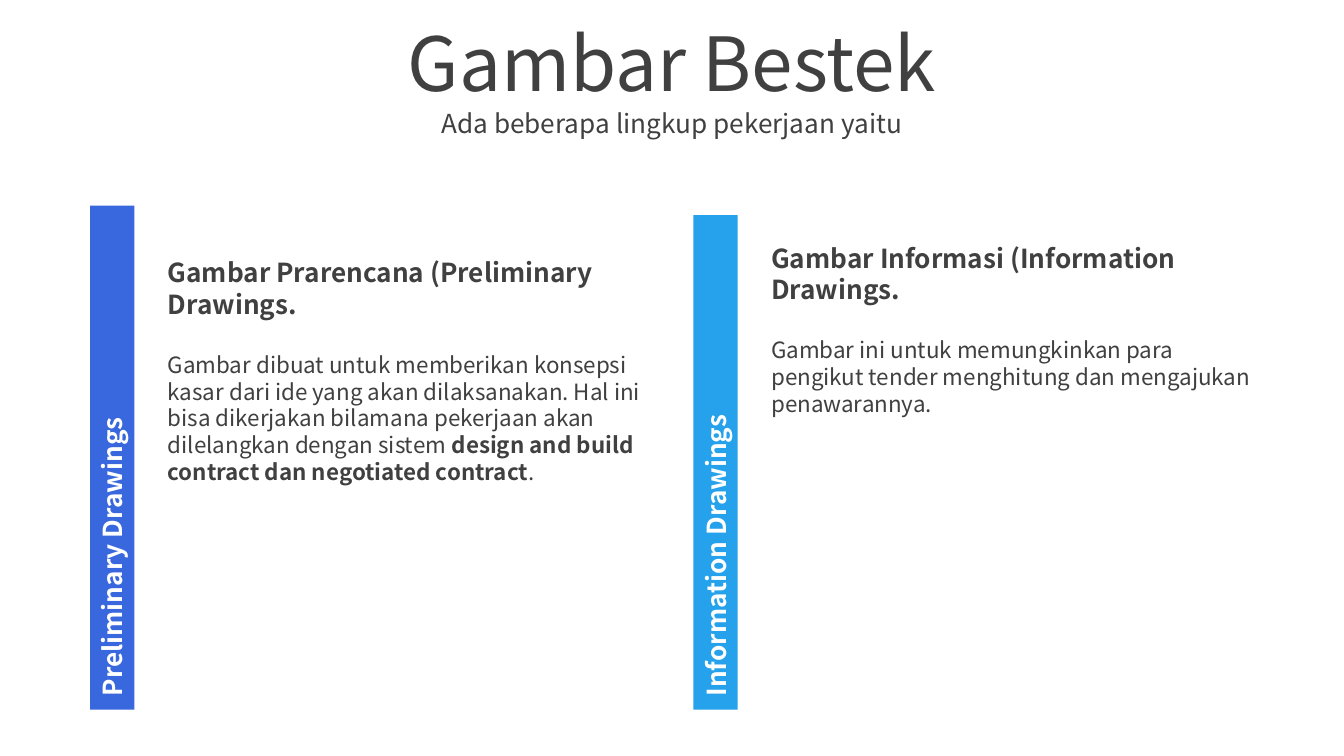
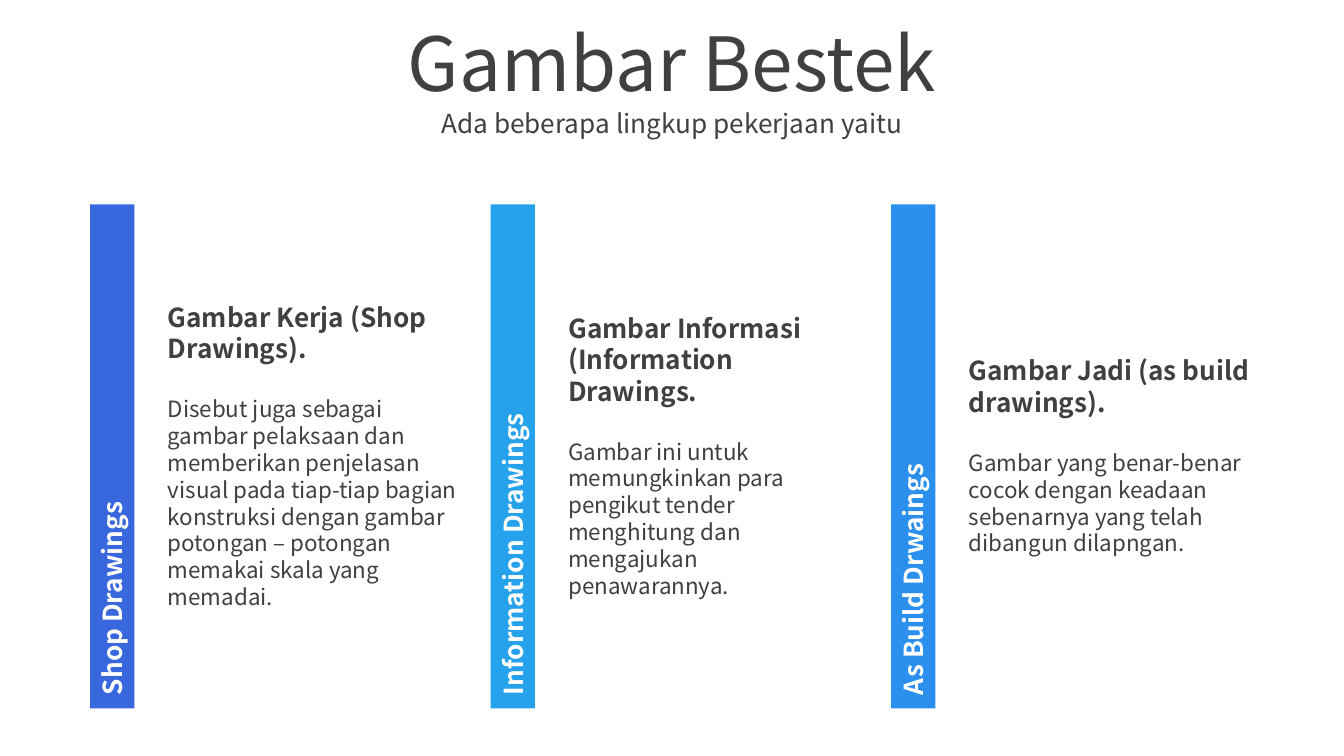
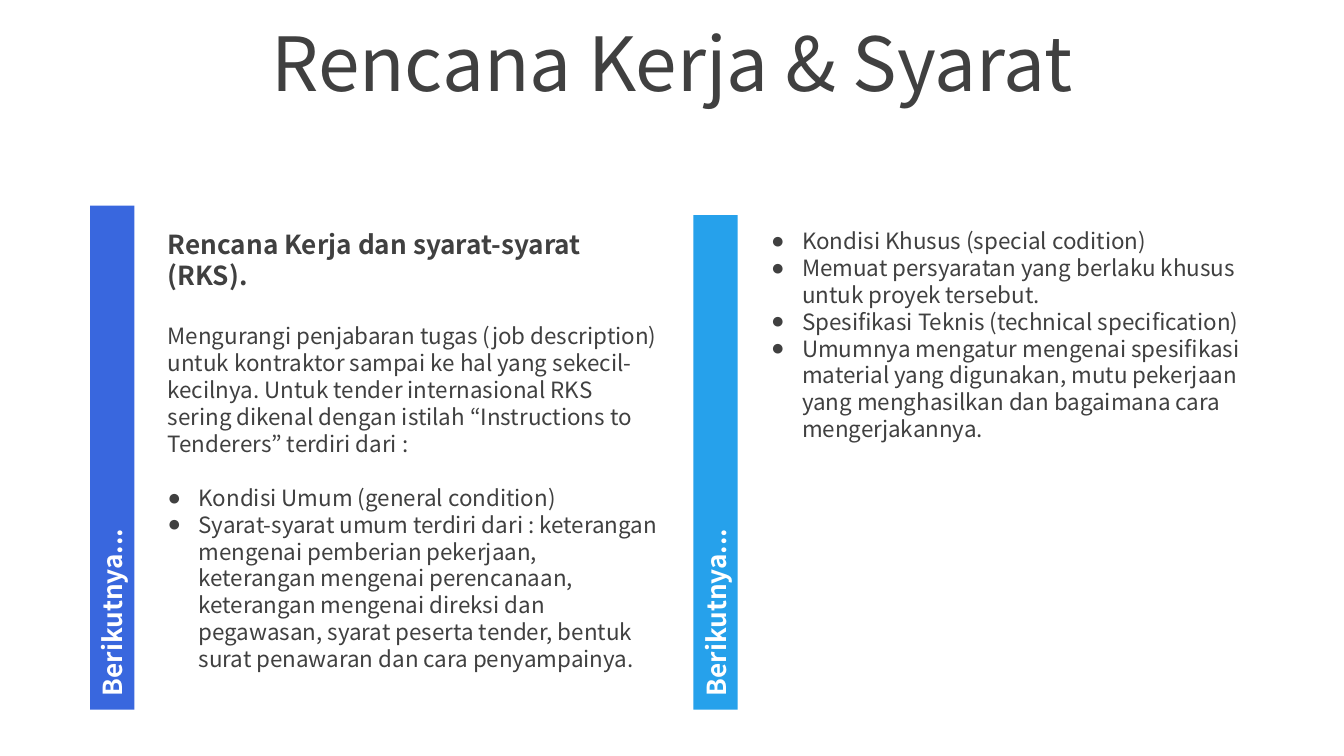
import pptx
import pptx.util
import pptx.dml.color
import pptx.enum.shapes
import pptx.enum.text
import pptx.oxml
import pptx.oxml.ns
from lxml import etree

Inches, Pt = pptx.util.Inches, pptx.util.Pt
ALIGN = pptx.enum.text.PP_ALIGN

# Shared look
FONT, BULLET_FONT = "Noto Sans CJK KR", "Arial"
INK, WHITE = "404040", "FFFFFF"
BLUE, SKY, AZURE = "3967DE", "26A1EB", "2B8FED"
HEADING_SIZE, BODY_SIZE = 14, 12
LINE_HEIGHT = 1.2
BAND_WIDTH, TEXT_OFFSET = 0.33, 0.48
INDENT = 0.23
FIRST_LEFT = 0.67


def color(hex_string):
    return pptx.dml.color.RGBColor.from_string(hex_string)


def add_run(paragraph, text, size, bold=False, ink=INK):
    run = paragraph.add_run()
    run.text = text
    run.font.name = FONT
    run.font.size = Pt(size)
    run.font.bold = bold
    run.font.color.rgb = color(ink)


def prepare_frame(frame):
    frame.word_wrap = True
    frame.auto_size = pptx.enum.text.MSO_AUTO_SIZE.NONE
    frame.vertical_anchor = pptx.enum.text.MSO_ANCHOR.MIDDLE
    frame.margin_left = frame.margin_right = Inches(0.1)
    frame.margin_top = frame.margin_bottom = Inches(0.05)
    return frame


def add_bullet(paragraph):
    properties = paragraph._p.get_or_add_pPr()
    properties.set("marL", str(Inches(INDENT)))
    properties.set("indent", str(-Inches(INDENT)))
    qn = pptx.oxml.ns.qn
    bullet_color = etree.SubElement(properties, qn("a:buClr"))
    etree.SubElement(bullet_color, qn("a:srgbClr")).set("val", INK)
    etree.SubElement(properties, qn("a:buFont")).set("typeface", BULLET_FONT)
    etree.SubElement(properties, qn("a:buChar")).set("char", "●")


def centred_line(frame, text, size):
    paragraph = prepare_frame(frame).paragraphs[0]
    paragraph.alignment = ALIGN.CENTER
    paragraph.space_before = Pt(size * 0.2)
    add_run(paragraph, text, size)


def title_slide(deck, title, subtitle=None):
    """Slide with its title and, where given, the line below it."""
    slide = deck.slides.add_slide(deck.slide_layouts[5])
    heading = slide.shapes.title
    heading.left, heading.top = Inches(0), Inches(0.14)
    heading.width, heading.height = Inches(10), Inches(0.63)
    centred_line(heading.text_frame, title, 40)
    if subtitle:
        line = slide.shapes.add_textbox(Inches(0), Inches(0.76), Inches(10), Inches(0.31))
        centred_line(line.text_frame, subtitle, 14)
    return slide


def add_band(slide, left, top, height, label, fill):
    """Upright band, made by turning a lying rectangle about its centre."""
    shift = (height - BAND_WIDTH) / 2
    band = slide.shapes.add_shape(
        pptx.enum.shapes.MSO_SHAPE.RECTANGLE,
        Inches(left - shift), Inches(top + shift), Inches(height), Inches(BAND_WIDTH))
    band.rotation = 270
    band.shadow.inherit = False
    band.fill.solid()
    band.fill.fore_color.rgb = color(fill)
    band.line.fill.background()
    paragraph = prepare_frame(band.text_frame).paragraphs[0]
    paragraph.alignment = ALIGN.LEFT
    add_run(paragraph, label, 14, True, WHITE)


def add_description(slide, left, top, width, height, heading="", body=(), bullets=()):
    """Heading, running text as (words, bold) pairs, then bullets."""
    box = slide.shapes.add_textbox(Inches(left), Inches(top), Inches(width), Inches(height))
    frame = prepare_frame(box.text_frame)
    rows = []  # runs, size, bulleted, size of the gap line above
    if heading:
        rows.append(([(heading, True)], HEADING_SIZE, False, 0))
    if body:
        rows.append((body, BODY_SIZE, False, HEADING_SIZE))
    for number, item in enumerate(bullets):
        gap = BODY_SIZE if body and number == 0 else 0
        rows.append(([(item, False)], BODY_SIZE, True, gap))
    for number, (runs, size, bulleted, gap) in enumerate(rows):
        paragraph = frame.paragraphs[0] if number == 0 else frame.add_paragraph()
        paragraph.alignment = ALIGN.LEFT
        paragraph.line_spacing = Pt(size * LINE_HEIGHT)
        paragraph.space_before = Pt(gap * LINE_HEIGHT)
        if bulleted:
            add_bullet(paragraph)
        for words, bold in runs:
            add_run(paragraph, words, size, bold)


def two_columns(slide, labels, text_boxes, contents):
    """text_boxes holds the top and height of each description."""
    bands = [(FIRST_LEFT, 1.53, 3.75, BLUE), (5.16, 1.6, 3.68, SKY)]
    for (left, top, height, fill), label, (text_top, text_height), content in zip(
            bands, labels, text_boxes, contents):
        add_band(slide, left, top, height, label, fill)
        add_description(slide, left + TEXT_OFFSET, text_top, 3.86, text_height, **content)


def three_columns(slide, columns):
    for number, (label, fill, content) in enumerate(columns):
        left = FIRST_LEFT + number * 2.98
        add_band(slide, left, 1.52, 3.75, label, fill)
        add_description(slide, left + TEXT_OFFSET, 1.28, 2.36, 4.22, **content)


deck = pptx.Presentation()
deck.slide_width = Inches(10)
deck.slide_height = Inches(10 * 9 / 16)

DRAWINGS = ("Gambar Bestek", "Ada beberapa lingkup pekerjaan yaitu")
INFORMATION = dict(
    heading="Gambar Informasi (Information Drawings.",
    body=[("Gambar ini untuk memungkinkan para pengikut tender menghitung dan "
           "mengajukan penawarannya. ", False)])

# Slide 1: preliminary and information drawings
preliminary = dict(
    heading="Gambar Prarencana (Preliminary Drawings.",
    body=[("Gambar dibuat untuk memberikan konsepsi kasar dari ide yang akan "
           "dilaksanakan. Hal ini bisa dikerjakan bilamana pekerjaan akan "
           "dilelangkan dengan sistem ", False),
          ("design and build contract dan negotiated contract", True),
          (".", False)])
two_columns(title_slide(deck, *DRAWINGS),
            ["Preliminary Drawings", "Information Drawings"],
            [(-0.1, 5.72), (0.34, 4.22)], [preliminary, INFORMATION])

# Slide 2: shop, information and as-built drawings
shop = dict(
    heading="Gambar Kerja (Shop Drawings).",
    body=[("Disebut juga sebagai gambar pelaksaan dan memberikan penjelasan visual "
           "pada tiap-tiap bagian konstruksi dengan gambar potongan – potongan "
           "memakai skala yang memadai.", False)])
as_built = dict(
    heading="Gambar Jadi (as build drawings).",
    body=[("Gambar yang benar-benar cocok dengan keadaan sebenarnya yang telah "
           "dibangun dilapngan. ", False)])
three_columns(title_slide(deck, *DRAWINGS), [
    ("Shop Drawings", BLUE, shop),
    ("Information Drawings", SKY, INFORMATION),
    ("As Build Drwaings", AZURE, as_built)])

# Slide 3: work plan and conditions
general = dict(
    heading="Rencana Kerja dan syarat-syarat (RKS).",
    body=[("Mengurangi penjabaran tugas (job description) untuk kontraktor sampai "
           "ke hal yang sekecil-kecilnya. Untuk tender internasional RKS sering "
           "dikenal dengan istilah “Instructions to Tenderers” terdiri dari :", False)],
    bullets=["Kondisi Umum (general condition)",
             "Syarat-syarat umum terdiri dari : keterangan mengenai pemberian "
             "pekerjaan, keterangan mengenai perencanaan, keterangan mengenai "
             "direksi dan pegawasan, syarat peserta tender, bentuk surat penawaran "
             "dan cara penyampainya."])
special = dict(
    bullets=["Kondisi Khusus (special codition)",
             "Memuat persyaratan yang berlaku khusus untuk proyek tersebut.",
             "Spesifikasi Teknis (technical specification)",
             "Umumnya mengatur mengenai spesifikasi material yang digunakan, mutu "
             "pekerjaan yang menghasilkan dan bagaimana cara mengerjakannya."])
two_columns(title_slide(deck, "Rencana Kerja & Syarat"), ["Berikutnya..."] * 2,
            [(0.49, 5.72), (0.38, 4.22)], [general, special])

deck.save("out.pptx")
